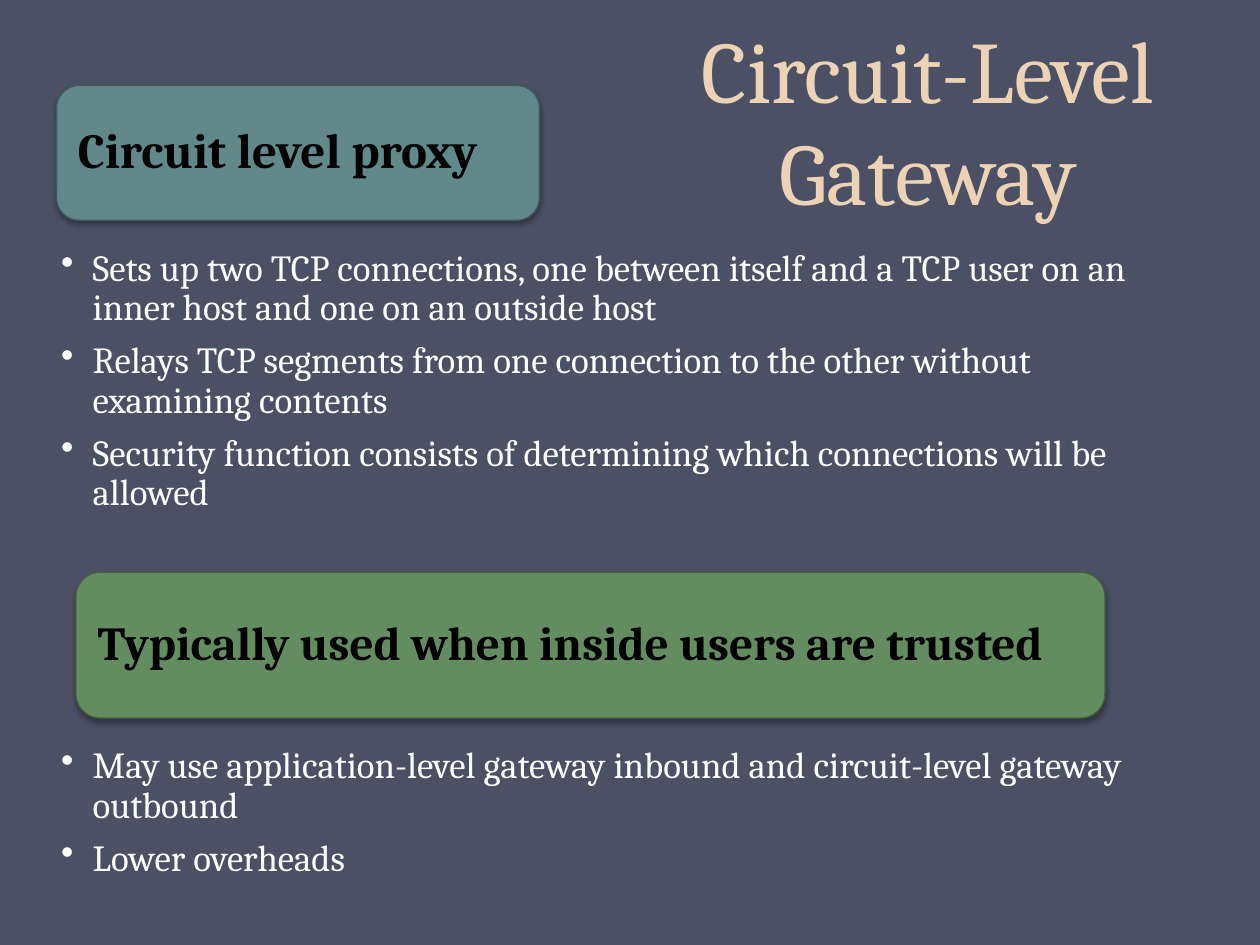
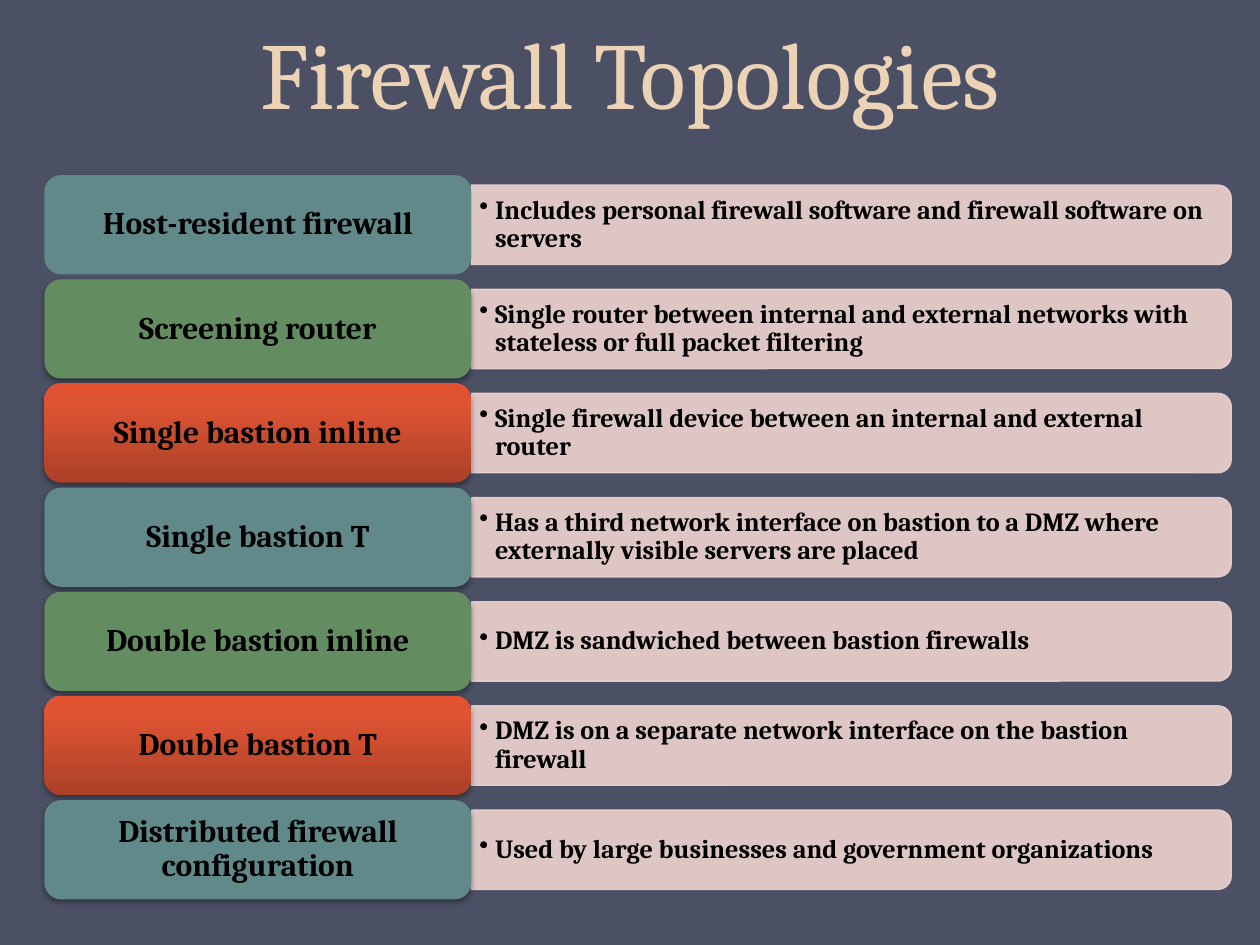
import copy
import pptx
import pptx.dml.color
import pptx.enum.shapes
import pptx.enum.text
import pptx.oxml
import pptx.oxml.ns
import pptx.util

Pt = pptx.util.Pt
RGB = pptx.dml.color.RGBColor.from_string
SHAPE = pptx.enum.shapes.MSO_SHAPE
ALIGN = pptx.enum.text.PP_ALIGN
ANCHOR = pptx.enum.text.MSO_ANCHOR
qn = pptx.oxml.ns.qn

# Content; boxes are (left, top, width, height) in points
GATEWAY_TITLE = "Circuit-Level Gateway"
GATEWAY_SECTIONS = [
    dict(heading="Circuit level proxy", size="heading", fill="teal",
         heading_box=(32.4, 48.9, 275.8, 77), body_box=(14.4, 139.8, 648, 212),
         points=["Sets up two TCP connections, one between itself and a TCP user on an inner host and one on an outside host",
                 "Relays TCP segments from one connection to the other without examining contents",
                 "Security function consists of determining which connections will be allowed"]),
    dict(heading="Typically used when inside users are trusted", size="subheading", fill="green",
         heading_box=(43.4, 327, 588, 83.3), body_box=(14.4, 424.2, 648, 107),
         points=["May use application-level gateway inbound and circuit-level gateway outbound",
                 "Lower overheads"]),
]
TOPOLOGY_TITLE = "Firewall Topologies"
TOPOLOGIES = [
    ("Host-resident firewall", "Includes personal firewall software and firewall software on servers"),
    ("Screening router", "Single router between internal and external networks with stateless or full packet filtering"),
    ("Single bastion inline", "Single firewall device between an internal and external router"),
    ("Single bastion T", "Has a third network interface on bastion to a DMZ where externally visible servers are placed"),
    ("Double bastion inline", "DMZ is sandwiched between bastion firewalls"),
    ("Double bastion T", "DMZ is on a separate network interface on the bastion firewall"),
    ("Distributed firewall configuration", "Used by large businesses and government organizations"),
]


class Theme:
    font = "Cambria"
    background, title, light, dark = "4B5064", "EDD3B6", "FFFFFF", "000000"
    panel = "EED3D0"
    fills = {"teal": "61898A", "green": "648C61",
             "red": [(0, "AB4027"), (0.8, "DE5433"), (1, "E35230")]}
    lines = {"teal": "415B5C", "green": "435E40"}
    sizes = {"heading": 28, "subheading": 27, "body": 21, "label": 18, "detail": 15}
    shadow = dict(blur=3.1, distance=1.8, angle=90, alpha=35)


# Helpers
def write(tf, *texts, size, color=Theme.dark, bold=False, align=None, spacing=0.9,
          after=0, indent=0, anchor=ANCHOR.MIDDLE, insets=(7.2, 3.6, 7.2, 3.6)):
    """Fill a text frame, one paragraph per text; an indent adds bullets."""
    tf.word_wrap = True
    tf.auto_size = pptx.enum.text.MSO_AUTO_SIZE.NONE
    tf.vertical_anchor = anchor
    tf.margin_left, tf.margin_top, tf.margin_right, tf.margin_bottom = map(Pt, insets)
    for i, text in enumerate(texts):
        p = tf.add_paragraph() if i else tf.paragraphs[0]
        if indent:
            pPr = p._p.get_or_add_pPr()
            pPr.set("marL", str(Pt(indent)))
            pPr.set("indent", str(-Pt(indent)))
            pptx.oxml.xmlchemy.OxmlElement  # noqa: B018
            bullet = pPr.makeelement(qn("a:buChar"), {"char": "•"})
            pPr.append(bullet)
        p.alignment = align
        p.line_spacing = spacing
        p.space_after = Pt(after)
        r = p.add_run()
        r.text = text
        r.font.name, r.font.size, r.font.bold = Theme.font, Pt(size), bold
        r.font.color.rgb = RGB(color)


def add_title(s, text, box, size):
    sp = s.shapes.title
    sp.left, sp.top, sp.width, sp.height = map(Pt, box)
    write(sp.text_frame, text, size=size, color=Theme.title, align=ALIGN.CENTER,
          spacing=Pt(58), anchor=ANCHOR.BOTTOM)


def add_box(s, kind, box, fill, line=None, shadow=False):
    sp = s.shapes.add_shape(kind, *map(Pt, box))
    sp.shadow.inherit = False
    if isinstance(fill, list):
        sp.fill.gradient()
        sp.fill.gradient_angle = 90
        stops = sp._element.spPr.find(".//" + qn("a:gsLst"))
        stops.append(copy.deepcopy(stops[-1]))
        for stop, (position, color) in zip(sp.fill.gradient_stops, fill):
            stop.position, stop.color.rgb = position, RGB(color)
    else:
        sp.fill.solid()
        sp.fill.fore_color.rgb = RGB(fill)
    if line:
        sp.line.color.rgb = RGB(line)
        sp.line.width = Pt(0.75)
    else:
        sp.line.fill.background()
    if shadow:
        add_shadow(sp, **Theme.shadow)
    return sp


def add_alpha(color, percent):
    color.append(color.makeelement(qn("a:alpha"), {"val": str(percent * 1000)}))


def add_shadow(sp, blur, distance, angle, alpha):
    effects = sp._element.spPr.find(qn("a:effectLst"))
    outer = effects.makeelement(qn("a:outerShdw"), {
        "blurRad": str(Pt(blur)), "dist": str(Pt(distance)),
        "dir": str(angle * 60000), "rotWithShape": "0"})
    color = outer.makeelement(qn("a:srgbClr"), {"val": Theme.dark})
    add_alpha(color, alpha)
    outer.append(color)
    effects.append(outer)


def add_text(s, box, *texts, **style):
    write(s.shapes.add_textbox(*map(Pt, box)).text_frame, *texts, **style)


# Slides
def gateway_slide(s):
    add_title(s, GATEWAY_TITLE, (339.1, -32.4, 382.3, 163.4), 50)
    for part in GATEWAY_SECTIONS:
        fill = part["fill"]
        sp = add_box(s, SHAPE.ROUNDED_RECTANGLE, part["heading_box"], Theme.fills[fill],
                     line=Theme.lines[fill], shadow=True)
        write(sp.text_frame, part["heading"], size=Theme.sizes[part["size"]], bold=True,
              align=ALIGN.LEFT, insets=(8.4,) * 4)
        add_text(s, part["body_box"], *part["points"], size=Theme.sizes["body"],
                 color=Theme.light, after=7.5, indent=18, anchor=ANCHOR.TOP,
                 insets=(20.6, 2.7, 15, 2.7))


def topology_slide(s):
    add_title(s, TOPOLOGY_TITLE, (0, 0, 720, 77), 54)
    left, top, label_w, label_h, pitch = 25.4, 100.1, 244, 56.7, 59.52
    panel_w, panel_h, text_h = 434.2, 45.4, 41
    panel_left = left + label_w
    fills = list(Theme.fills.values())
    for i, (label, detail) in enumerate(TOPOLOGIES):
        y = top + i * pitch
        middle = y + label_h / 2
        # The panel stands upright and is turned so its round corners face right
        panel = add_box(s, SHAPE.ROUND_2_SAME_RECTANGLE,
                        (panel_left + (panel_w - panel_h) / 2, middle - panel_w / 2,
                         panel_h, panel_w), Theme.panel, line=Theme.panel)
        panel.rotation = 90
        for color in panel._element.spPr.iter(qn("a:srgbClr")):
            add_alpha(color, 90)
        add_text(s, (panel_left, middle - text_h / 2, 432, text_h), detail,
                 size=Theme.sizes["detail"], bold=True, indent=9,
                 insets=(4.5, 2.25, 4.5, 2.25))
        sp = add_box(s, SHAPE.ROUNDED_RECTANGLE, (left, y, label_w, label_h),
                     fills[i % len(fills)], shadow=i > 0)
        write(sp.text_frame, label, size=Theme.sizes["label"], bold=True,
              align=ALIGN.CENTER, insets=(5.4, 2.7, 5.4, 2.7))


def main():
    prs = pptx.Presentation()
    prs.slide_width, prs.slide_height = Pt(720), Pt(540)
    fill = prs.slide_master.background.fill
    fill.solid()
    fill.fore_color.rgb = RGB(Theme.background)
    for build in (gateway_slide, topology_slide):
        build(prs.slides.add_slide(prs.slide_layouts[5]))
    prs.save("out.pptx")


if __name__ == "__main__":
    main()
